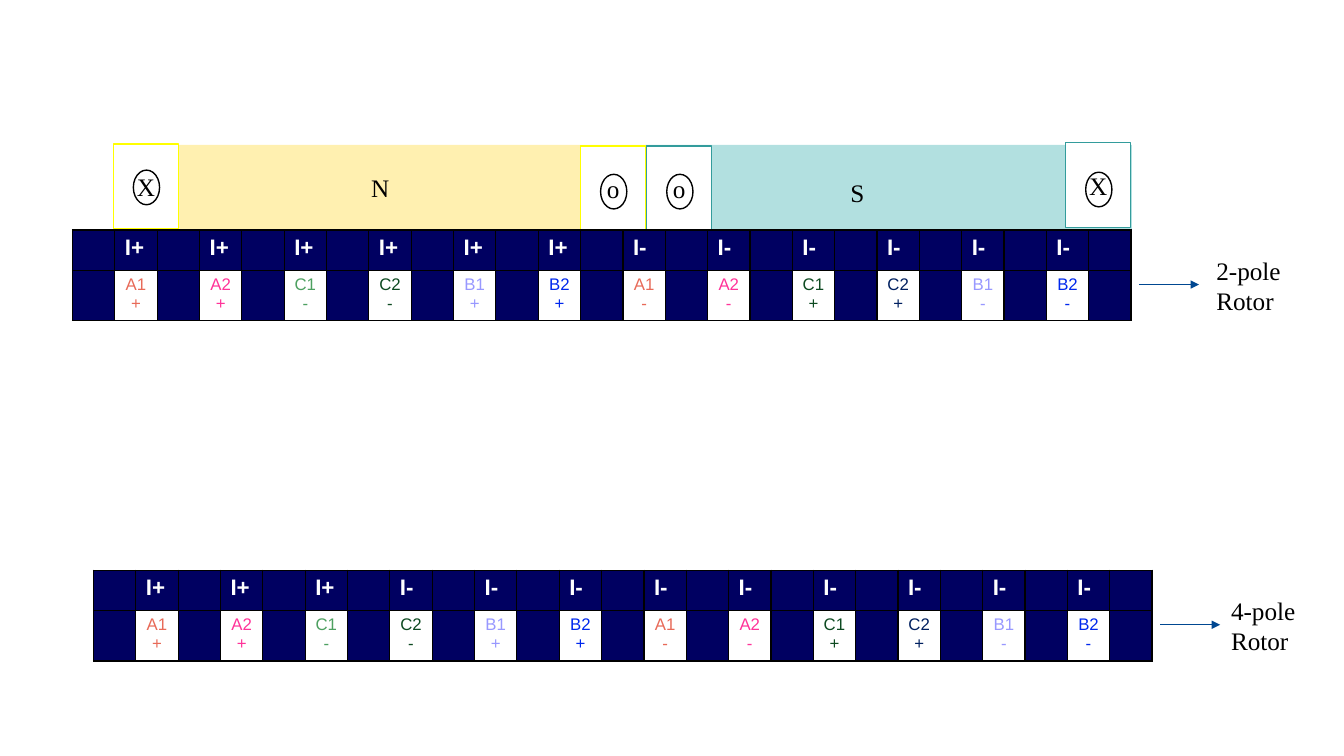
from lxml.etree import SubElement
from pptx import Presentation
from pptx.dml.color import RGBColor
from pptx.enum.shapes import MSO_CONNECTOR, MSO_SHAPE
from pptx.enum.text import MSO_ANCHOR, MSO_AUTO_SIZE, PP_ALIGN
from pptx.oxml.ns import qn
from pptx.util import Emu, Pt

PX = 9525  # 96 px to the inch
NAVY, WHITE, BLACK = "000061", "FFFFFF", "000000"
YELLOW, TEAL = "FFFF00", "339C9C"
SLOT_COUNT = 25
TABLE_WIDTH = 1009
ROW_HEIGHTS = (38, 48)


def rgb(color):
    return RGBColor.from_string(color)


def write(frame, text, size=18, font="Times New Roman", color=BLACK, bold=False,
          align=PP_ALIGN.CENTER):
    """Fill a text frame, one paragraph for each line of text."""
    frame.text = text
    for paragraph in frame.paragraphs:
        paragraph.alignment = align
        for run in paragraph.runs:
            run.font.size = Pt(size)
            run.font.name = font
            run.font.bold = bold
            run.font.color.rgb = rgb(color)


prs = Presentation()
prs.slide_width, prs.slide_height = Emu(1280 * PX), Emu(720 * PX)
slide = prs.slides.add_slide(prs.slide_layouts[6])
shapes = slide.shapes

# Poles, then the winding squares with their current direction signs
RECT, OVAL = MSO_SHAPE.RECTANGLE, MSO_SHAPE.OVAL
rotor_parts = [
    (RECT, 108, 138, 508, 81, "FFF0B0", None, "N"),
    (RECT, 615, 138, 463, 81, "B2E0E0", None, ""),
]
for left, top, sign_top, edge, sign in [
    (108, 137, 162, YELLOW, "X"),
    (553, 139, 166, YELLOW, "o"),
    (616, 139, 166, TEAL, "o"),
    (1015, 136, 164, TEAL, "X"),
]:
    rotor_parts.append((RECT, left, top, 62, 81, WHITE, edge, sign))
    rotor_parts.append((OVAL, left + 19, sign_top, 25, 33, None, BLACK, ""))

for kind, left, top, width, height, fill, edge, text in rotor_parts:
    part = shapes.add_shape(kind, left * PX, top * PX, width * PX, height * PX)
    part.shadow.inherit = False
    if fill:
        part.fill.solid()
        part.fill.fore_color.rgb = rgb(fill)
    else:
        part.fill.background()
    if edge:
        part.line.color.rgb = rgb(edge)
        part.line.width = Pt(1)
    else:
        part.line.fill.background()
    if text:
        part.text_frame.vertical_anchor = MSO_ANCHOR.MIDDLE
        write(part.text_frame, text)

south = shapes.add_textbox(800 * PX, 164 * PX, 33 * PX, 38 * PX).text_frame
south.word_wrap = False
south.auto_size = MSO_AUTO_SIZE.SHAPE_TO_FIT_TEXT
write(south, "S")

# Stator slots: every second column holds a coil
coils = [
    ("A1+", "E86A58"), ("A2\n+", "FF3399"), ("C1\n-", "4DA060"),
    ("C2\n-", "0D4A21"), ("B1+", "9898FF"), ("B2+", "0028ED"),
    ("A1-", "E86A58"), ("A2\n-", "FF3399"), ("C1\n+", "0D4A21"),
    ("C2\n+", "002060"), ("B1-", "9898FF"), ("B2-", "0028ED"),
]
stators = [
    (69, 219, 6, "2-pole Rotor", 1149),
    (89, 543, 3, "4-pole Rotor", 1163),
]
for left, top, positive_count, rotor_name, name_left in stators:
    arrow_left, arrow_y = left + TABLE_WIDTH + 7, top + 52
    arrow = shapes.add_connector(MSO_CONNECTOR.STRAIGHT, arrow_left * PX, arrow_y * PX,
                                 (arrow_left + 57) * PX, arrow_y * PX)
    arrow.line.color.rgb = rgb("004791")
    arrow.line.width = Pt(0.5)
    SubElement(arrow.line._get_or_add_ln(), qn("a:tailEnd"), type="triangle")
    SubElement(arrow._element.spPr, qn("a:effectLst"))

    label = shapes.add_textbox(name_left * PX, (top + 19) * PX, 117 * PX, 68 * PX).text_frame
    label.word_wrap = True
    label.auto_size = MSO_AUTO_SIZE.SHAPE_TO_FIT_TEXT
    write(label, rotor_name, align=PP_ALIGN.LEFT)

    slots = shapes.add_table(2, SLOT_COUNT, left * PX, top * PX,
                             TABLE_WIDTH * PX, sum(ROW_HEIGHTS) * PX).table
    for column in slots.columns:
        column.width = Emu(TABLE_WIDTH * PX // SLOT_COUNT)
    for row, height in zip(slots.rows, ROW_HEIGHTS):
        row.height = Emu(height * PX)

    for index, (coil, color) in enumerate(coils):
        current = "I+" if index < positive_count else "I-"
        write(slots.cell(0, 2 * index + 1).text_frame, current, size=16, font="Arial",
              color=WHITE, bold=True, align=PP_ALIGN.LEFT)
        write(slots.cell(1, 2 * index + 1).text_frame, coil, size=12, font="Arial",
              color=color)

    for position, cell in enumerate(slots.iter_cells()):
        row, column = divmod(position, SLOT_COUNT)
        properties = cell._tc.get_or_add_tcPr()
        for side in ("lnL", "lnR", "lnT", "lnB"):
            border = SubElement(properties, qn(f"a:{side}"), w=str(Pt(1)))
            border_fill = SubElement(border, qn("a:solidFill"))
            SubElement(border_fill, qn("a:srgbClr"), val=BLACK)
        cell.fill.solid()
        cell.fill.fore_color.rgb = rgb(WHITE if row == 1 and column % 2 else NAVY)

prs.save("out.pptx")
